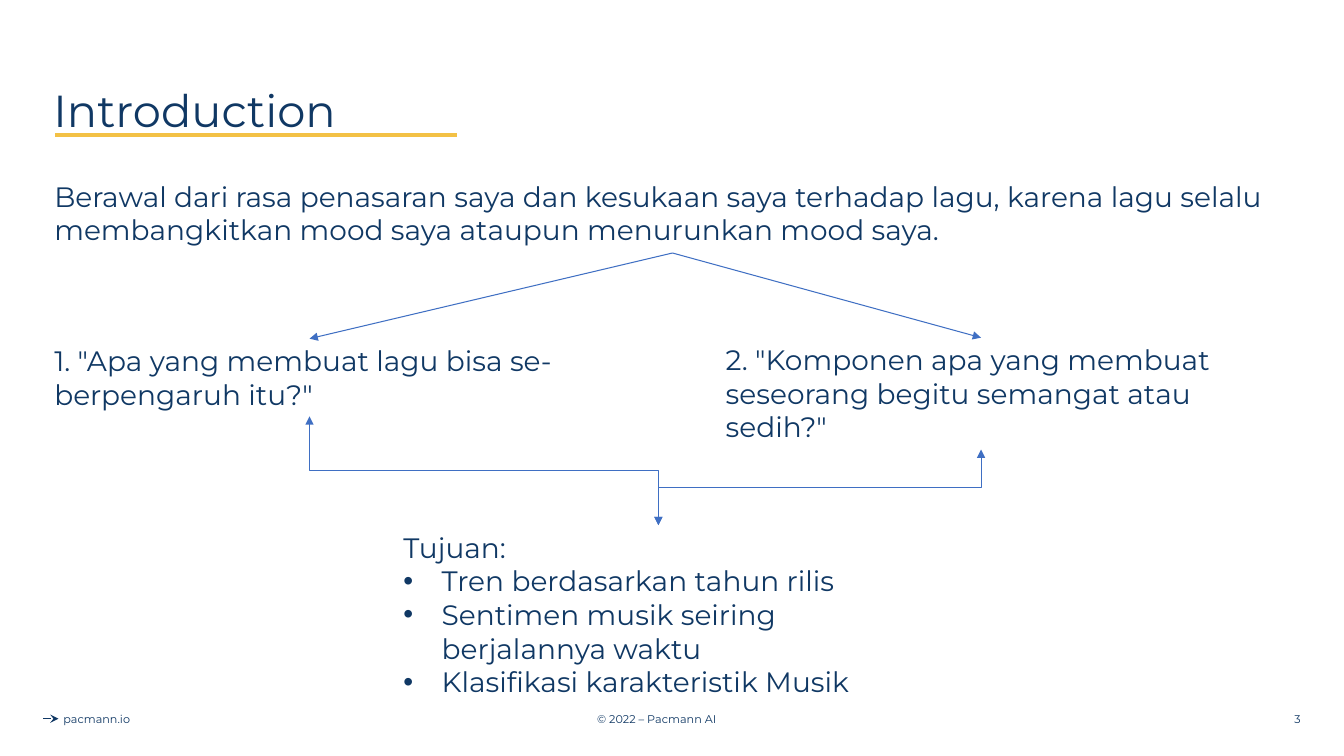
from pptx import Presentation
from pptx.dml.color import RGBColor
from pptx.enum.shapes import MSO_CONNECTOR
from pptx.enum.text import MSO_ANCHOR, MSO_AUTO_SIZE, PP_ALIGN
from pptx.oxml.ns import qn
from pptx.util import Inches, Pt
from lxml import etree

NAVY = RGBColor(0x10, 0x38, 0x64)
GOLD = RGBColor(0xF3, 0xC1, 0x45)
BLUE = RGBColor(0x3F, 0x6F, 0xC3)
FONT = "Montserrat"
LEFT, CENTER, RIGHT = PP_ALIGN.LEFT, PP_ALIGN.CENTER, PP_ALIGN.RIGHT
TOP, MIDDLE = MSO_ANCHOR.TOP, MSO_ANCHOR.MIDDLE
STRAIGHT, ELBOW = MSO_CONNECTOR.STRAIGHT, MSO_CONNECTOR.ELBOW
WIDE, HIGH = 13.33, 7.5
HANG = 0.38  # bullet indent


def place(shape, x, y, w, h):
    shape.left, shape.top = Inches(x), Inches(y)
    shape.width, shape.height = Inches(w), Inches(h)
    return shape


def bullet(par):
    props = par._p.get_or_add_pPr()
    props.set("marL", str(Inches(HANG)))
    props.set("indent", str(-Inches(HANG)))
    color = etree.SubElement(props, qn("a:buClr"))
    etree.SubElement(color, qn("a:srgbClr"), val=str(NAVY))
    etree.SubElement(props, qn("a:buFont"), typeface="Arial")
    etree.SubElement(props, qn("a:buChar"), char="•")


def plain(par):
    props = par._p.get_or_add_pPr()
    props.set("marL", "0")
    props.set("indent", "0")
    etree.SubElement(props, qn("a:buNone"))


def write(shape, text, size=20, align=LEFT, anchor=TOP, space=1.0, items=()):
    """Fill a shape with a paragraph and, below it, bulleted items."""
    frame = shape.text_frame
    frame.word_wrap = True
    frame.auto_size = MSO_AUTO_SIZE.NONE
    frame.vertical_anchor = anchor
    for i, line in enumerate([text, *items]):
        par = frame.add_paragraph() if i else frame.paragraphs[0]
        par.alignment, par.line_spacing = align, space
        par.space_before = Pt(0)
        if i:
            bullet(par)
        else:
            plain(par)
        run = par.add_run()
        run.text = line
        run.font.name, run.font.size = FONT, Pt(size)
        run.font.color.rgb = NAVY


def label(slide, box, text, **form):
    write(slide.shapes.add_textbox(*map(Inches, box)), text, **form)


def link(slide, start, end, kind=STRAIGHT, color=BLUE, width=0.75,
         head=None, tail=None):
    ends = map(Inches, (*start, *end))
    line = slide.shapes.add_connector(kind, *ends)
    line.line.color.rgb, line.line.width = color, Pt(width)
    props = line.line._get_or_add_ln()
    for tag, tip in (("a:headEnd", head), ("a:tailEnd", tail)):
        if tip:
            etree.SubElement(props, qn(tag), type=tip)
    etree.SubElement(line._element.spPr, qn("a:effectLst"))
    return line


def bend(slide, start, end):
    """Elbow that leaves downwards: a sideways elbow turned a quarter."""
    (x1, y1), (x2, y2) = start, end
    mx, my = (x1 + x2) / 2, (y1 + y2) / 2
    dx, dy = abs(x2 - x1) / 2, (y2 - y1) / 2
    turn, side = (270, -dy) if x2 > x1 else (90, dy)
    line = link(slide, (mx - side, my - dx), (mx + side, my + dx),
                ELBOW, head="triangle", tail="triangle")
    line._element.spPr.find(qn("a:xfrm")).set("rot", str(turn * 60000))


def footer(slide, box):
    x, y, w, h = box
    mid = y + h / 2
    link(slide, (x, mid), (x + 0.15, mid), color=NAVY, tail="stealth")
    label(slide, (x + 0.09, y, 0.87, h), "pacmann.io",
          size=8, align=RIGHT, anchor=MIDDLE)
    label(slide, (x + w / 2 - 2.4, y, 4.5, h), "© 2022 – Pacmann AI",
          size=8, align=CENTER, anchor=MIDDLE)
    label(slide, (x + w - 2.9, y, 3, h), "3",
          size=8, align=RIGHT, anchor=MIDDLE)


def header(slide, box):
    x, y, w, h = box
    rule = y + 0.94
    link(slide, (x + 0.12, rule), (x + 4.1, rule), color=GOLD, width=2.25)
    write(place(slide.shapes.title, *box), "Introduction",
          size=32, anchor=MIDDLE, space=0.9)


def flow(slide, box):
    """Reason on top, two questions below it, goals at the foot."""
    x, y, w, h = box
    part = 5.26
    label(slide, (x, y, w, 0.77),
          "Berawal dari rasa penasaran saya dan kesukaan saya terhadap lagu, "
          "karena lagu selalu membangkitkan mood saya ataupun menurunkan "
          "mood saya.")
    goal = (x + 3.46, y + h - 1.78, part, 1.78)
    write(place(slide.placeholders[1], *goal), "Tujuan:", items=(
        "Tren berdasarkan tahun rilis",
        "Sentimen musik seiring berjalannya waktu",
        "Klasifikasi karakteristik Musik"))

    root = (x + w / 2, y + 0.78)
    foot = (goal[0] + part / 2, goal[1])
    asks = (
        (x, y + 1.63, 0.77,
         '1. "Apa yang membuat lagu bisa se-berpengaruh itu?"'),
        (x + 6.66, y + 1.62, 1.11,
         '2. "Komponen apa yang membuat seseorang begitu semangat '
         'atau sedih?"'),
    )
    for left, top, tall, text in asks:
        mid = left + part / 2
        label(slide, (left, top, part, tall), text)
        link(slide, root, (mid, top), tail="triangle")
        bend(slide, (mid, top + tall), foot)


def main():
    deck = Presentation()
    deck.slide_width, deck.slide_height = Inches(WIDE), Inches(HIGH)
    slide = deck.slides.add_slide(deck.slide_layouts[1])
    edge = 0.43
    span = WIDE - 2 * edge
    footer(slide, (edge, 6.93, span, 0.4))
    header(slide, (edge, 0.4, span, 1.45))
    flow(slide, (edge + 0.01, 1.73, span - 0.01, 5.26))
    deck.save("out.pptx")


if __name__ == "__main__":
    main()
